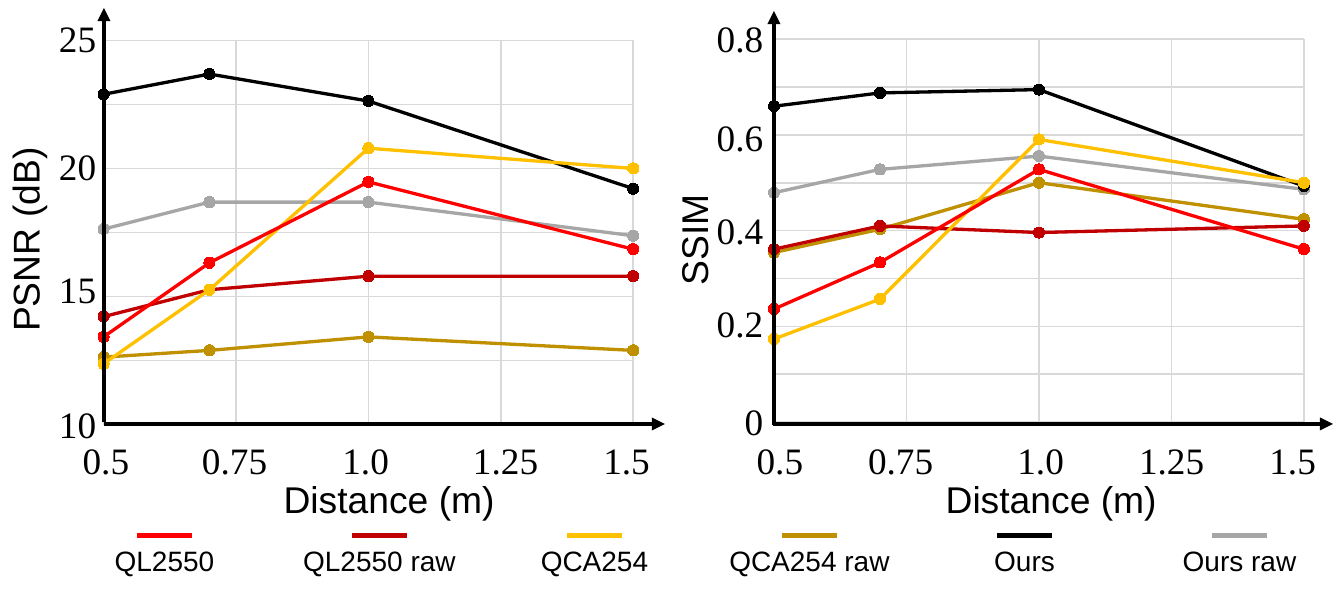
from pptx import Presentation
from pptx import util as u
from pptx.chart.data import XyChartData
from pptx.dml.color import RGBColor
from pptx.enum import chart as ch, shapes, text
from pptx.oxml import parse_xml
from pptx.oxml.ns import nsdecls, qn
from lxml import etree

PX = 5762
SANS, SERIF = "Arial", "Times New Roman"
COLORS = {
    "QL2550": "FF0000",
    "QL2550 raw": "C00000",
    "QCA254": "FFC000",
    "QCA254 raw": "BF9000",
    "Ours": "000000",
    "Ours raw": "A6A6A6",
    "ink": "000000",
    "grid": "D9D9D9",
}
LEGEND = ["QL2550", "QL2550 raw", "QCA254", "QCA254 raw", "Ours", "Ours raw"]
LEGEND_PITCH, LEGEND_LINE = 215, 55
DISTANCES = [0.5, 0.7, 1, 1.5]
DISTANCE_TICKS = ["0.5", "0.75", "1.0", "1.25", "1.5"]

PSNR = {
    "title": "PSNR (dB)", "title_box": (-83, 208, 217, 62),
    "chart_box": (92, 30, 549, 402), "plot": (0.021, 0.026, 0.965, 0.956),
    "scale": (48, 105, 9.5),
    "ticks": {"10": 394, "15": 259, "20": 135, "25": 8}, "ticks_right": 112,
    "distance_left": 67, "tick_stops": [152, 283, 423, 544],
    "distance_title_left": 268,
    "arrows": [(104, 422, 104, 8), (104, 424, 665, 424)],
    "results": {
        "QL2550": [61, 72, 84, 74],
        "QCA254": [57, 68, 89, 86],
        "Ours": [97, 100, 96, 83],
        "QL2550 raw": [64, 68, 70, 70],
        "QCA254 raw": [58, 59, 61, 59],
        "Ours raw": [77, 81, 81, 76],
    },
}
SSIM = {
    "title": "SSIM", "title_box": (632, 208, 124, 62),
    "chart_box": (767, 30, 543, 398), "plot": (0.013, 0.023, 0.976, 0.963),
    "scale": (0, 115.2, 14.4),
    "ticks": {"0": 391, "0.2": 292, "0.4": 200, "0.6": 106, "0.8": 8}, "ticks_right": 779,
    "distance_left": 741, "tick_stops": [144, 284, 415, 536],
    "distance_title_left": 930,
    "arrows": [(773, 424, 1333, 424), (774, 425, 774, 11)],
    "results": {
        "QL2550": [34, 48, 76, 52],
        "QCA254": [25, 37, 85, 72],
        "Ours": [95, 99, 100, 71],
        "QL2550 raw": [52, 59, 57, 59],
        "QCA254 raw": [51, 58, 72, 61],
        "Ours raw": [69, 76, 80, 70],
    },
}


def px(*lengths):
    return [u.Emu(length * PX) for length in lengths]


def rgb(name):
    return RGBColor.from_string(COLORS[name])


def add_label(slide, box, wording, size=16.9, font=SANS, align=text.PP_ALIGN.LEFT, turn=0):
    label = slide.shapes.add_textbox(*px(*box))
    label.rotation = turn
    frame = label.text_frame
    frame.word_wrap = False
    frame.text = wording
    paragraph = frame.paragraphs[0]
    paragraph.alignment = align
    for run in paragraph.runs:
        run.font.size = u.Pt(size)
        run.font.name = font
        run.font.color.rgb = rgb("ink")
    return label


def add_distance_ticks(slide, left, stops):
    ticks = add_label(slide, (left, 430, 611, 62), "\t".join(DISTANCE_TICKS), font=SERIF)
    ticks.text_frame.word_wrap = True
    properties = ticks.text_frame.paragraphs[0]._p.get_or_add_pPr()
    tabs = etree.SubElement(properties, qn("a:tabLst"))
    for stop in stops:
        etree.SubElement(tabs, qn("a:tab"), pos=str(stop * PX), algn="ctr")


def add_line(slide, ends, color, width, arrow=False):
    line = slide.shapes.add_connector(shapes.MSO_CONNECTOR.STRAIGHT, *px(*ends))
    line.line.color.rgb = rgb(color)
    line.line.width = u.Pt(width)
    if arrow:
        etree.SubElement(line.line._get_or_add_ln(), qn("a:tailEnd"), type="triangle")
    etree.SubElement(line._element.spPr, qn("a:effectLst"))


def style_axis(axis, low, high, step):
    axis.minimum_scale, axis.maximum_scale, axis.major_unit = low, high, step
    axis.has_major_gridlines = True
    grid = axis.major_gridlines.format.line
    grid.color.rgb = rgb("grid")
    grid.width = u.Pt(0.75)
    axis.visible = False


def style_series(series):
    color = rgb(series.name)
    series.smooth = False
    series.format.line.color.rgb = color
    series.format.line.width = u.Pt(1.5)
    marker = series.marker
    marker.style = ch.XL_MARKER_STYLE.CIRCLE
    marker.size = 5
    marker.format.fill.solid()
    marker.format.fill.fore_color.rgb = color
    marker.format.line.color.rgb = color


def place_plot(chart, fractions):
    sizes = "".join(f'<c:{tag} val="{value}"/>' for tag, value in zip("xywh", fractions))
    layout = parse_xml(
        f'<c:layout {nsdecls("c")}><c:manualLayout><c:layoutTarget val="inner"/>'
        f'<c:xMode val="edge"/><c:yMode val="edge"/>{sizes}</c:manualLayout></c:layout>')
    plot_area = chart._chartSpace.chart.plotArea
    for automatic in plot_area.findall(qn("c:layout")):
        plot_area.remove(automatic)
    plot_area.insert(0, layout)


def add_results_chart(slide, panel):
    data = XyChartData()
    for method, values in panel["results"].items():
        points = data.add_series(method)
        for distance, value in zip(DISTANCES, values):
            points.add_data_point(distance, value)
    chart = slide.shapes.add_chart(
        ch.XL_CHART_TYPE.XY_SCATTER_LINES, *px(*panel["chart_box"]), data).chart
    chart.has_legend = False
    chart.has_title = False
    chart.font.size = u.Pt(10)
    chart.font.name = "Calibri"
    chart.font.color.rgb = rgb("ink")
    chart.plots[0].vary_by_categories = False
    style_axis(chart.category_axis, 0.5, 1.5, 0.25)
    style_axis(chart.value_axis, *panel["scale"])
    for series in chart.plots[0].series:
        style_series(series)
    place_plot(chart, panel["plot"])


def add_panel(slide, panel):
    add_results_chart(slide, panel)
    for ends in panel["arrows"]:
        add_line(slide, ends, "ink", 1.5, arrow=True)
    add_label(slide, panel["title_box"], panel["title"], turn=270)
    add_distance_ticks(slide, panel["distance_left"], panel["tick_stops"])
    add_label(slide, (panel["distance_title_left"], 468, 246, 62), "Distance (m)")
    for tick, top in panel["ticks"].items():
        add_label(slide, (panel["ticks_right"] - 87, top, 87, 62), tick,
                  font=SERIF, align=text.PP_ALIGN.RIGHT)


def add_legend(slide):
    for index, method in enumerate(LEGEND):
        left = 137 + LEGEND_PITCH * index
        add_line(slide, (left, 536, left + LEGEND_LINE, 536), method, 2.25)
        label_left = left - (LEGEND_PITCH - LEGEND_LINE) // 2
        add_label(slide, (label_left, 536, LEGEND_PITCH, 49), method, 12.7,
                  align=text.PP_ALIGN.CENTER)


def main():
    deck = Presentation()
    deck.slide_width, deck.slide_height = px(1344, 594)
    slide = deck.slides.add_slide(deck.slide_layouts[6])
    for panel in (PSNR, SSIM):
        add_panel(slide, panel)
    add_legend(slide)
    deck.save("out.pptx")


if __name__ == "__main__":
    main()
